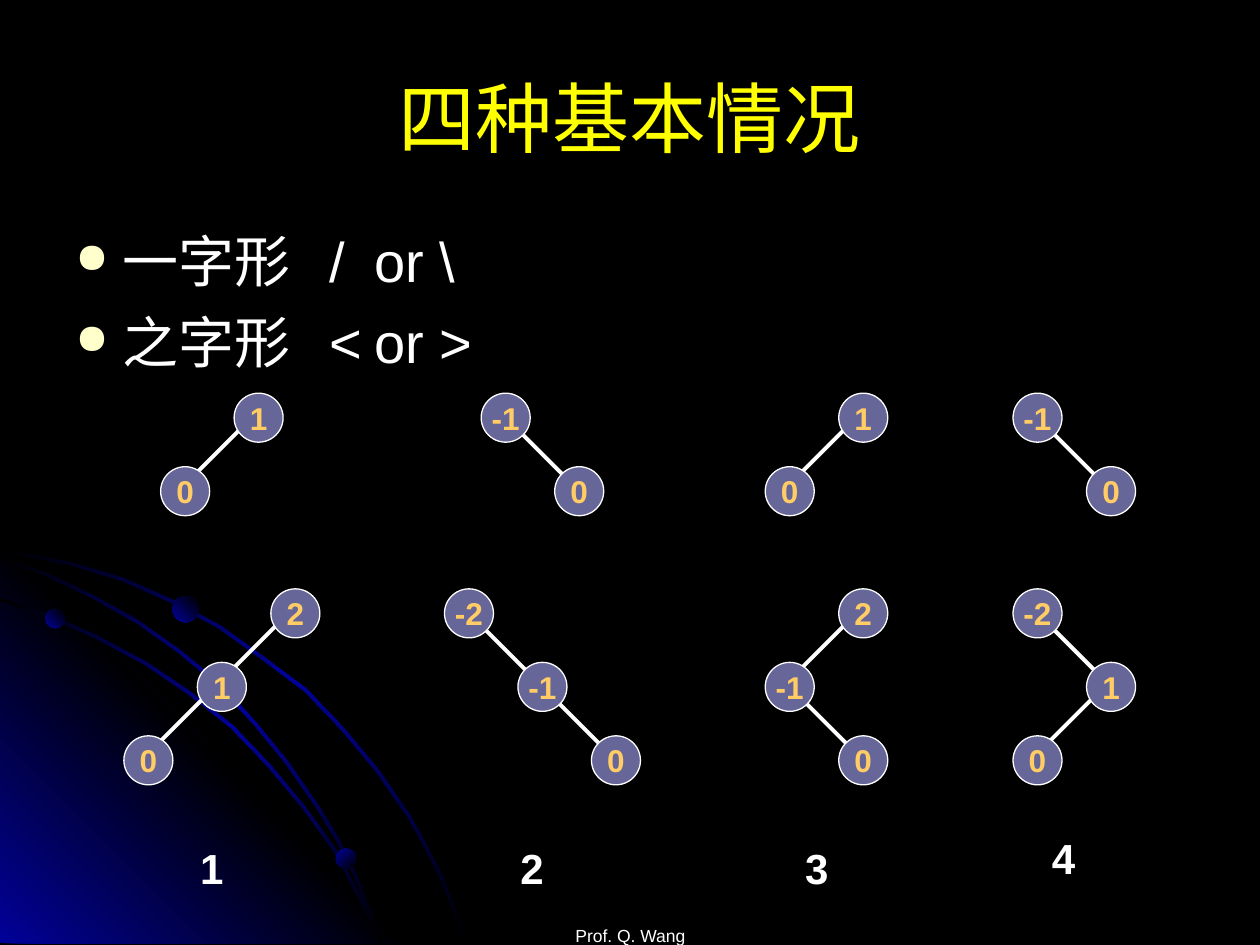
import math

from pptx import Presentation
from pptx import util as u
from pptx.dml.color import RGBColor
from pptx.enum import shapes, text
from pptx.oxml import parse_xml
from pptx.oxml.ns import nsdecls, qn

NODE_SIZE = 28
STEP = 42
EDGE_LENGTH = 36
UPPER_TOP, LOWER_TOP = 238.7, 350.5
GLOW = ["000000", "010199", "000000"]
ORBITS = [
    [(0, 315), (20, 319), (40, 323), (70, 332), (97, 344), (125, 359), (150, 377),
     (174, 395), (195, 417), (215, 441), (233, 467), (243, 485), (252, 503),
     (259, 521), (266, 539)],
    [(0, 343.5), (28, 353), (55, 365), (83, 380), (108, 397), (132, 416), (153, 438),
     (173, 462), (191, 487), (205, 514), (212, 527), (217, 539)],
    [(0, 320), (26, 329), (53, 342), (78, 356), (102, 373), (125, 392), (145, 414),
     (163, 436), (181, 462), (192, 480), (202, 500), (210, 520), (217, 539)],
]
CORNER = [(232, 539), (0, 539), (0, 307.5)]
PLANETS = [(26, 348, 11, 315), (192, 485, 11.5, 45), (98.6, 340.6, 15, 315)]

# Each tree: left of first node, column of every node, values, edges as node pairs.
TREES = [
    (84.8, LOWER_TOP, [2, 1, 0], ["2", "1", "0"], [(0, 2)]),
    (105.8, UPPER_TOP, [1, 0], ["1", "0"], [(0, 1)]),
    (268, LOWER_TOP, [0, 1, 2], ["-2", "-1", "0"], [(0, 2)]),
    (289, UPPER_TOP, [0, 1], ["-1", "0"], [(0, 1)]),
    (451.3, LOWER_TOP, [1, 0, 1], ["2", "-1", "0"], [(0, 1), (1, 2)]),
    (451.3, UPPER_TOP, [1, 0], ["1", "0"], [(0, 1)]),
    (592.9, LOWER_TOP, [0, 1, 0], ["-2", "1", "0"], [(0, 1), (1, 2)]),
    (592.9, UPPER_TOP, [0, 1], ["-1", "0"], [(0, 1)]),
]
CASE_LABELS = [("1", 107.3, 478), ("2", 290.2, 478), ("3", 453, 478), ("4", 594, 472.3)]


def color(value):
    return RGBColor.from_string(value)


def write(paragraph, content, size=18, fill="FFFFFF", bold=False, align=None):
    paragraph.alignment = align
    run = paragraph.add_run()
    run.text = content
    run.font.name = "Arial"
    run.font.size = u.Pt(size)
    run.font.bold = bold
    run.font.color.rgb = color(fill)


def add_bullet(paragraph, tabs):
    properties = paragraph._p.get_or_add_pPr()
    properties.set("marL", str(u.Pt(27)))
    properties.set("indent", str(u.Pt(-27)))
    stops = "".join(f'<a:tab pos="{u.Pt(tab)}" algn="l"/>' for tab in tabs)
    for xml in (
        '<a:buClr {}><a:srgbClr val="FFFFCC"/></a:buClr>',
        '<a:buSzPct {} val="75000"/>',
        '<a:buChar {} char="●"/>',
        "<a:tabLst {}>" + stops + "</a:tabLst>",
    ):
        properties.append(parse_xml(xml.format(nsdecls("a"))))


class Deck:
    def __init__(self):
        self.presentation = Presentation()
        self.presentation.slide_width = u.Pt(720)
        self.presentation.slide_height = u.Pt(540)
        self.slide = self.presentation.slides.add_slide(self.presentation.slide_layouts[6])
        self.slide.background.fill.solid()
        self.slide.background.fill.fore_color.rgb = color("000000")

    def gradient(self, shape, colors, angle):
        shape.shadow.inherit = False
        shape.line.fill.background()
        shape.fill.solid()
        stops = "".join(
            f'<a:gs pos="{100000 * index // (len(colors) - 1)}"><a:srgbClr val="{value}"/></a:gs>'
            for index, value in enumerate(colors)
        )
        fill = parse_xml(
            f'<a:gradFill {nsdecls("a")} rotWithShape="1"><a:gsLst>{stops}</a:gsLst>'
            f'<a:lin ang="{angle * 60000}" scaled="0"/></a:gradFill>'
        )
        properties = shape._element.spPr
        properties.replace(properties.find(qn("a:solidFill")), fill)

    def outline(self, points, colors, angle):
        builder = self.slide.shapes.build_freeform(
            u.Pt(points[0][0]), u.Pt(points[0][1]), scale=1.0)
        builder.add_line_segments([(u.Pt(x), u.Pt(y)) for x, y in points[1:]], close=True)
        self.gradient(builder.convert_to_shape(), colors, angle)

    def orbit(self, edge):
        last = len(edge) - 1
        outer = []
        for index, (x, y) in enumerate(edge):
            turn = math.pi / 2 * index / last
            outer.append((x + 1.8 * math.sin(turn), y - 1.8 * math.cos(turn)))
        self.outline(edge + outer[::-1], GLOW, 45)

    def ellipse(self, left, top, size):
        return self.slide.shapes.add_shape(
            shapes.MSO_SHAPE.OVAL, u.Pt(left), u.Pt(top), u.Pt(size), u.Pt(size))

    def planet(self, left, top, size, angle):
        self.gradient(self.ellipse(left, top, size), ["010199", "000000"], angle)

    def node(self, x, y, value):
        shape = self.ellipse(x - NODE_SIZE / 2, y - NODE_SIZE / 2, NODE_SIZE)
        shape.shadow.inherit = False
        shape.fill.solid()
        shape.fill.fore_color.rgb = color("666699")
        shape.line.color.rgb = color("FFFFFF")
        shape.line.width = u.Pt(0.75)
        frame = shape.text_frame
        frame.word_wrap = False
        frame.vertical_anchor = text.MSO_ANCHOR.MIDDLE
        write(frame.paragraphs[0], value, fill="FFCC66", bold=True,
              align=text.PP_ALIGN.CENTER)

    def edge(self, upper, lower):
        left, right = sorted([upper, lower])
        falling = left == upper
        length = EDGE_LENGTH * (right[0] - left[0]) / STEP
        x, y = left[0] + 4, left[1] + (4 if falling else -8)
        end_y = y + length if falling else y - length
        line = self.slide.shapes.add_connector(
            shapes.MSO_CONNECTOR.STRAIGHT, u.Pt(x), u.Pt(y), u.Pt(x + length), u.Pt(end_y))
        line.line.color.rgb = color("FFFFFF")
        line.line.width = u.Pt(2.25)
        line._element.spPr.append(parse_xml(f'<a:effectLst {nsdecls("a")}/>'))

    def tree(self, left, top, columns, values, edges):
        centers = [(left + STEP * column, top + STEP * row)
                   for row, column in enumerate(columns)]
        for start, end in edges:
            self.edge(centers[start], centers[end])
        for (x, y), value in zip(centers, values):
            self.node(x, y, value)

    def text_box(self, left, top, width, height, anchor=text.MSO_ANCHOR.TOP):
        shape = self.slide.shapes.add_textbox(
            u.Pt(left), u.Pt(top), u.Pt(width), u.Pt(height))
        shape.text_frame.word_wrap = True
        shape.text_frame.vertical_anchor = anchor
        return shape.text_frame

    def bullets(self, frame, lines):
        for index, line in enumerate(lines):
            paragraph = frame.add_paragraph() if index else frame.paragraphs[0]
            if index:
                paragraph.space_before = u.Pt(8)
            add_bullet(paragraph, [145, 171])
            write(paragraph, line, size=32)


def main():
    deck = Deck()
    center = text.PP_ALIGN.CENTER
    deck.orbit(ORBITS[0])
    deck.outline(CORNER, ["010199", "000000", "010199"], 315)
    for orbit in ORBITS[1:]:
        deck.orbit(orbit)
    for planet in PLANETS:
        deck.planet(*planet)

    footer = deck.text_box(246.2, 504.7, 228, 36, text.MSO_ANCHOR.BOTTOM)
    footer.margin_bottom = 0
    write(footer.paragraphs[0], "Prof. Q. Wang", size=10, align=center)
    title = deck.text_box(36, 21.6, 648, 90, text.MSO_ANCHOR.MIDDLE)
    write(title.paragraphs[0], "四种基本情况", size=44, fill="FFFF00", align=center)
    body = deck.text_box(36, 126, 648, 356.4)
    deck.bullets(body, ["一字形\t/\tor \\", "之字形\t<\tor >"])

    for tree in TREES:
        deck.tree(*tree)
    for label, left, top in CASE_LABELS:
        frame = deck.text_box(left, top, 39.6, 36)
        write(frame.paragraphs[0], label, size=24, bold=True)
    deck.presentation.save("out.pptx")


if __name__ == "__main__":
    main()
